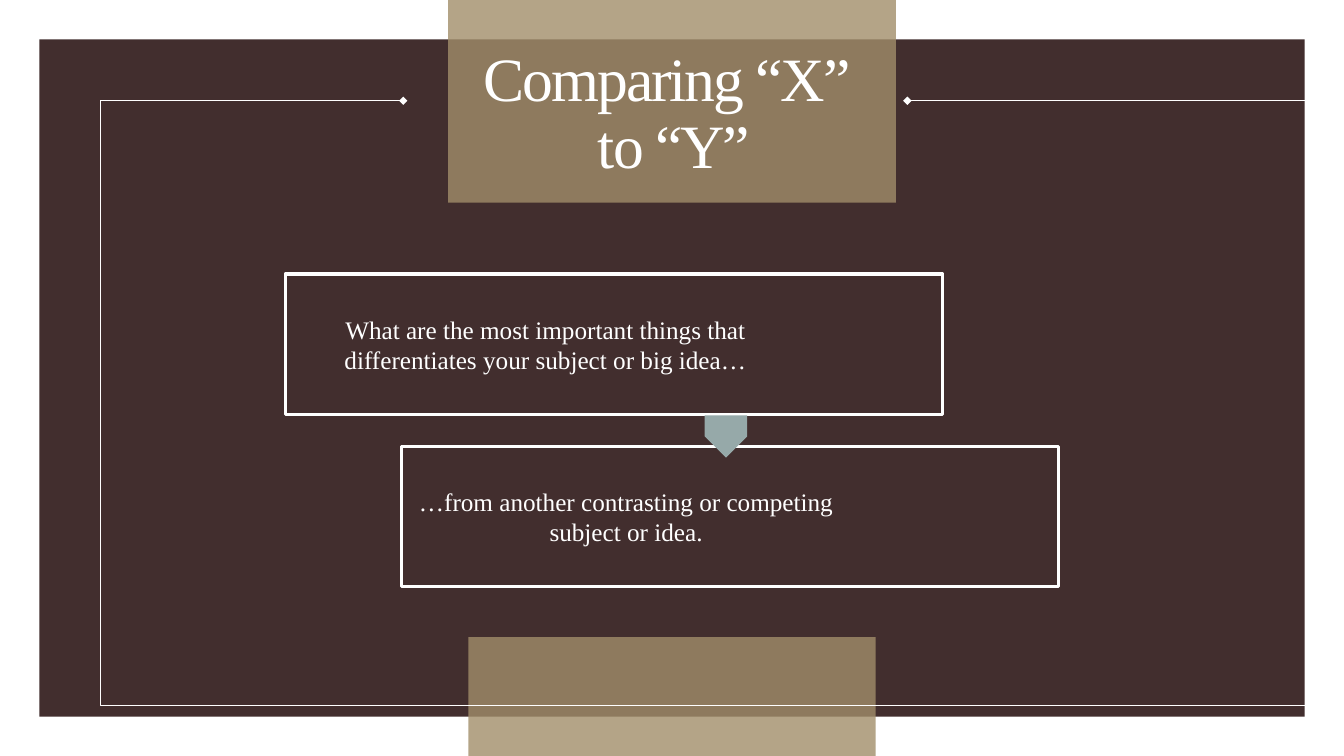
import pptx
import pptx.util
from dataclasses import dataclass
from lxml import etree
from pptx.dml.color import RGBColor
from pptx.enum.shapes import MSO_SHAPE
from pptx.enum.text import MSO_ANCHOR, MSO_AUTO_SIZE, PP_ALIGN
from pptx.oxml.ns import qn
from pptx.util import Inches, Pt


@dataclass(frozen=True)
class Theme:
    font: str = "Times New Roman"
    dark: str = "422E2E"
    tan: str = "A28E6A"
    sage: str = "96A9A9"
    white: str = "FFFFFF"
    head: int = 44
    body: int = 18


THEME = Theme()


def paint(fill, color, alpha=None):
    """Fill with a solid colour; alpha is the opacity in percent."""
    fill.solid()
    fill.fore_color.rgb = RGBColor.from_string(color)
    if alpha:
        tint = fill._xPr.find(".//" + qn("a:srgbClr"))
        etree.SubElement(tint, qn("a:alpha"), val=str(alpha * 1000))


def add_block(slide, box, fill=None, alpha=None, line=None, kind=MSO_SHAPE.RECTANGLE):
    shape = slide.shapes.add_shape(kind, *map(Inches, box))
    shape.shadow.inherit = False
    if fill:
        paint(shape.fill, fill, alpha)
    else:
        shape.fill.background()
    if line:
        paint(shape.line.fill, THEME.white)
        shape.line.width = Pt(line)
    else:
        shape.line.fill.background()
    return shape


def style(para, size):
    para.alignment = PP_ALIGN.CENTER
    para.font.name = THEME.font
    para.font.size = Pt(size)
    para.font.color.rgb = RGBColor.from_string(THEME.white)


def add_frame(slide, box, gap):
    """Outline the box, leaving a centred gap in the top edge."""
    left, top, width, height = box
    right, base = left + width, top + height
    mid = left + width / 2
    build = slide.shapes.build_freeform(mid + gap / 2, top, scale=Inches(1))
    build.add_line_segments(
        [(right, top), (right, base), (left, base), (left, top), (mid - gap / 2, top)],
        close=False)
    frame = build.convert_to_shape()
    frame.shadow.inherit = False
    frame.fill.background()
    paint(frame.line.fill, THEME.white)
    frame.line.width = Pt(1)
    for end in ("a:headEnd", "a:tailEnd"):
        etree.SubElement(frame.line._get_or_add_ln(), qn(end), type="diamond")


def add_back(slide, box):
    left, top, width, height = box
    mid = left + width / 2
    edge = 0.39
    add_block(slide, (left + edge, top + edge, width - 2 * edge, height - 2 * edge),
              THEME.dark)
    add_block(slide, (mid - 2.22, top, 4.44, 2.01), THEME.tan, 80)
    add_block(slide, (mid - 2.02, top + height - 1.18, 4.04, 1.18), THEME.tan, 80)
    inset = 0.79
    add_frame(slide, (left + inset, top + inset, width - 2 * inset, 5.88), 5.31)


def set_title(slide, box, text):
    title = slide.shapes.title
    title.left, title.top, title.width, title.height = map(Inches, box)
    frame = title.text_frame
    frame.text = text
    frame.word_wrap = True
    frame.auto_size = MSO_AUTO_SIZE.NONE
    frame.vertical_anchor = MSO_ANCHOR.BOTTOM
    para = frame.paragraphs[0]
    style(para, THEME.head)
    para.line_spacing = 0.9
    for run in para.runs:
        run._r.get_or_add_rPr().set("spc", "-150")


def add_card(slide, box, span, text):
    """Outline the box and set text in its first span inches."""
    left, top, width, height = box
    add_block(slide, box, line=2.5)
    pad = 0.04
    label = slide.shapes.add_textbox(
        *map(Inches, (left + pad, top + pad, span, height - 2 * pad)))
    frame = label.text_frame
    frame.word_wrap = True
    frame.vertical_anchor = MSO_ANCHOR.MIDDLE
    frame.margin_left = frame.margin_right = Inches(0.07)
    frame.margin_top = frame.margin_bottom = Inches(0.07)
    frame.text = text
    style(frame.paragraphs[0], THEME.body)


def add_steps(slide, box, cards):
    """Step the cards from the top left to the bottom right of the box."""
    left, top, width, height = box
    wide, tall = 6.52, 1.39
    for i, (span, text) in enumerate(cards):
        part = i / (len(cards) - 1)
        spot = (left + part * (width - wide), top + part * (height - tall), wide, tall)
        add_card(slide, spot, span, text)
    arrow = add_block(slide, (left + 4.16, top + tall + 0.01, 0.42, 0.42),
                      THEME.sage, kind=MSO_SHAPE.PENTAGON)
    arrow.rotation = 90


def main():
    deck = pptx.Presentation()
    deck.slide_width, deck.slide_height = Inches(13.33), Inches(7.5)
    slide = deck.slides.add_slide(deck.slide_layouts[5])
    add_back(slide, (0, 0, 13.33, 7.5))
    set_title(slide, (4.49, 0.39, 4.39, 1.46), "Comparing “X” \vto “Y”")
    add_steps(slide, (2.83, 2.72, 7.67, 3.1), [
        (5.08, "What are the most important things that differentiates "
               "your subject or big idea…"),
        (4.38, "…from another contrasting or competing subject or idea."),
    ])
    # The title sits above the backdrop.
    slide.shapes._spTree.append(slide.shapes.title._element)
    deck.save("out.pptx")


if __name__ == "__main__":
    main()
